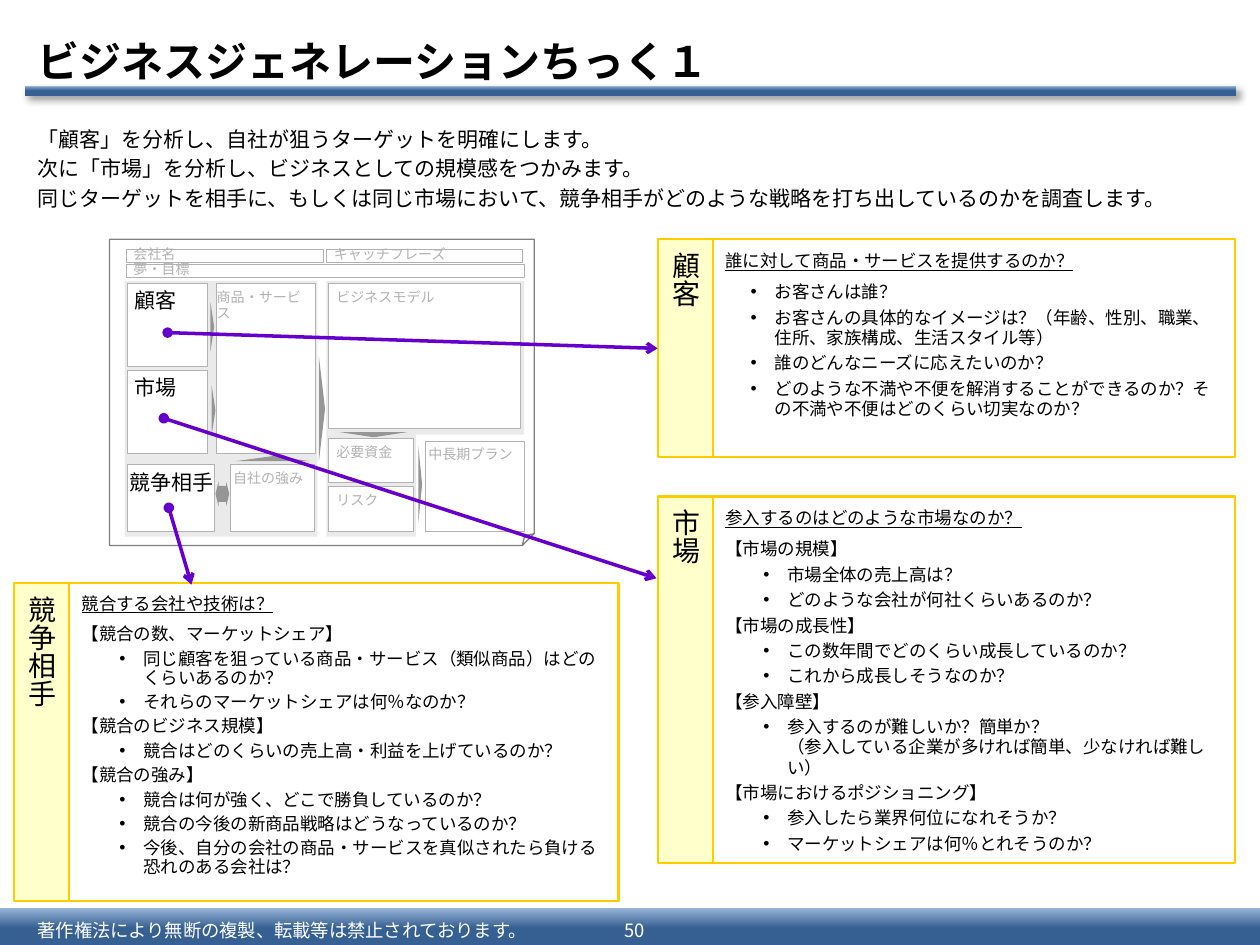
from dataclasses import dataclass

from lxml.etree import SubElement
from pptx import Presentation
from pptx.dml.color import RGBColor
from pptx.enum.shapes import MSO_CONNECTOR as Connector, MSO_SHAPE as Shape
from pptx.enum.text import MSO_ANCHOR as Anchor, MSO_AUTO_SIZE as AutoSize, PP_ALIGN as Align
from pptx.oxml.ns import qn
from pptx.util import Inches, Pt

COLORS = {
    "ink": "000000", "paper": "FFFFFF", "navy": "376092", "sky": "95B3D7",
    "gold": "FFCC00", "cream": "FFFFCC", "mist": "EAEAEA", "pale": "B2B2B2",
    "marker": "969696", "frame": "808080", "violet": "6600CC",
}
JAPANESE, SKETCH_FONT = "Noto Sans CJK JP", "Calibri"
COLUMNS, ROWS = 100, 75
SLIDE_WIDTH, SLIDE_HEIGHT = Inches(10), Inches(7.5)
COLUMN, ROW = SLIDE_WIDTH / COLUMNS, SLIDE_HEIGHT / ROWS


@dataclass
class Box:
    """A rectangle measured in grid columns and rows."""
    x: float
    y: float
    w: float
    h: float

    def inner(self, x, y, w, h):
        """Return a box placed relative to this one."""
        return Box(self.x + x, self.y + y, w, h)

    def emu(self):
        """Return left, top, width and height as lengths."""
        return (round(self.x * COLUMN), round(self.y * ROW),
                round(self.w * COLUMN), round(self.h * ROW))


def rgb(name):
    """Return a named colour."""
    return RGBColor.from_string(COLORS[name])


def add_text(frame, text, size=10, font=JAPANESE, color="ink", bold=False, underline=False,
             align=Align.LEFT, leading=None, before=0, after=0, bullet=None, indent=0, hanging=0):
    """Add one formatted paragraph to a text frame."""
    first = not frame.text
    paragraph = frame.paragraphs[0] if first else frame.add_paragraph()
    paragraph.text = text
    properties = paragraph._p.get_or_add_pPr()
    properties.set("marL", str(Inches(indent)))
    properties.set("indent", str(-Inches(hanging)))
    if bullet:
        paragraph.level = 1
        SubElement(properties, qn("a:buFont"), typeface="Arial")
        SubElement(properties, qn("a:buChar"), char=bullet)
    else:
        SubElement(properties, qn("a:buNone"))
    paragraph.alignment = align
    paragraph.space_before = Pt(0 if first else before)
    paragraph.space_after = Pt(after)
    if leading:
        paragraph.line_spacing = leading
    for run in paragraph.runs:
        run.font.size, run.font.name = Pt(size), font
        run.font.bold, run.font.underline = bold, underline
        run.font.color.rgb = rgb(color)
        SubElement(run._r.get_or_add_rPr(), qn("a:ea"), typeface=font)


def set_frame(frame, anchor=Anchor.TOP, insets=(0.1, 0.05, 0.1, 0.05), wrap=True):
    """Set the anchor, insets and wrapping of a text frame."""
    frame.auto_size, frame.word_wrap = AutoSize.NONE, wrap
    frame.vertical_anchor = anchor
    frame.margin_left, frame.margin_top, frame.margin_right, frame.margin_bottom = map(Inches, insets)
    return frame


def add_block(slide, box, fill=None, line=None, weight=0.5, kind=Shape.RECTANGLE, turn=0):
    """Add a flat preset shape."""
    block = slide.shapes.add_shape(kind, *box.emu())
    block.shadow.inherit = False
    block.rotation = turn
    if fill:
        block.fill.solid()
        block.fill.fore_color.rgb = rgb(fill)
    else:
        block.fill.background()
    if line:
        block.line.color.rgb, block.line.width = rgb(line), Pt(weight)
    else:
        block.line.fill.background()
    return block


def add_band(slide, box):
    """Add a bar that fades from navy up to sky."""
    band = add_block(slide, box)
    band.fill.gradient()
    band.fill.gradient_angle = 90
    for stop, position, color in zip(band.fill.gradient_stops, (0.5, 1), ("navy", "sky")):
        stop.position, stop.color.rgb = position, rgb(color)
    return band


def add_heading(slide, box, title):
    """Place the slide title above its shaded rule."""
    rule = add_band(slide, box.inner(0, 4.7, 96.1, 0.8))
    effects = rule._element.spPr.find(qn("a:effectLst"))
    shadow = SubElement(effects, qn("a:outerShdw"), blurRad=str(Pt(4)), dist=str(Pt(3)),
                        dir="2700000", algn="tl", rotWithShape="0")
    tint = SubElement(shadow, qn("a:srgbClr"), val=COLORS["ink"])
    SubElement(tint, qn("a:alpha"), val="40000")
    heading = slide.shapes.title
    heading.left, heading.top, heading.width, heading.height = box.emu()
    add_text(set_frame(heading.text_frame, Anchor.MIDDLE), title, size=24, bold=True)


def add_lead(slide, box, sentences):
    """Place the opening sentences in the body placeholder."""
    lead = slide.placeholders[1]
    lead.left, lead.top, lead.width, lead.height = box.emu()
    frame = set_frame(lead.text_frame)
    for sentence in sentences:
        add_text(frame, sentence, size=12, leading=Pt(14.5), before=2.4)


def add_footer(slide, box, notice, number):
    """Place the bottom band with the notice and page number."""
    add_band(slide, box)
    for text, x, width, align in ((notice, 2, 42.5, Align.LEFT), (number, 47.6, 5.5, Align.CENTER)):
        note = slide.shapes.add_textbox(*box.inner(x, 0.4, width, 2.6).emu())
        frame = set_frame(note.text_frame, Anchor.MIDDLE, (0.1, 0.04, 0.1, 0.04))
        add_text(frame, text, size=10.5, color="paper", align=align)


def add_sketch(slide, box):
    """Draw the miniature business plan sheet."""
    for area in ((17.2, 11.4, 7.1, 12.2), (17.2, 3.3, 15.7, 12.2), (1.2, 3.3, 15.3, 20.3)):
        add_block(slide, box.inner(*area), "mist")
    for *area, turn in ((6.2, 6.8, 3.9, 0.3, 90), (6.3, 13.4, 3.9, 0.3, 90), (10, 17.2, 5.9, 0.4, 0),
                        (12.6, 13.2, 8.5, 0.5, 90), (18.3, 15.3, 5.3, 0.4, 180),
                        (21.6, 19.3, 6.1, 0.3, 90)):
        add_block(slide, box.inner(*area), "marker", kind=Shape.ISOSCELES_TRIANGLE, turn=turn)
    rivalry = add_block(slide, box.inner(8.4, 19.2, 1.1, 2), "marker", kind=Shape.LEFT_RIGHT_ARROW)
    rivalry.adjustments[0], rivalry.adjustments[1] = 0.64, 0.23

    faint, strong = {"size": 8, "color": "pale"}, {"size": 12, "color": "ink"}
    for text, area, inset, style in (
        ("会社名", (1.3, 0.8, 15.7, 1), 0.06, faint),
        ("キャッチフレーズ", (17.2, 0.8, 15.6, 1), 0.06, faint),
        ("夢・目標", (1.3, 2, 31.6, 1), 0.06, faint),
        ("ビジネスモデル", (17.4, 3.5, 15.2, 11.5), 0.06, faint),
        ("必要資金", (17.4, 15.8, 6.7, 3.5), 0.06, faint),
        ("中長期プラン", (25.1, 16, 7.8, 7.2), 0.02, faint),
        ("リスク", (17.4, 19.6, 6.7, 3.6), 0.06, faint),
        ("商品・サービス", (8.5, 3.5, 7.8, 13.5), 0, faint),
        ("自社の強み", (9.6, 17.9, 6.7, 5.3), 0.02, faint),
        ("顧客", (1.4, 3.5, 6.4, 6.6), 0.06, strong),
        ("市場", (1.4, 10.4, 6.4, 6.6), 0.06, strong),
        ("競争相手", (1.4, 17.9, 6.9, 5.3), 0.02, strong),
    ):
        cell = add_block(slide, box.inner(*area), "paper", "pale")
        strip = area[3] == 1
        frame = set_frame(cell.text_frame, Anchor.MIDDLE if strip else Anchor.TOP,
                          (inset, 0.03 if strip else 0.05, inset, 0.05), wrap=text != "競争相手")
        add_text(frame, text, font=SKETCH_FONT, leading=0.95, **style)
    sheet = add_block(slide, box, line="frame", weight=0.75, kind=Shape.FOLDED_CORNER)
    folds = next(sheet._element.spPr.iter(qn("a:avLst")))
    SubElement(folds, qn("a:gd"), name="adj", fmla="val 3900")


def add_panel(slide, box, name, question, entries, leading=11.5, indent=0.49):
    """Place a question panel and return its name tab."""
    tab_width = 4.4
    content = add_block(slide, box.inner(tab_width, 0, box.w - tab_width, box.h), "paper", "gold", 1.25)
    frame = set_frame(content.text_frame, insets=(0.1, 0.09, 0.1, 0.05))
    spacing = {"leading": Pt(leading), "after": 1.5}
    add_text(frame, question, underline=True, **spacing)
    for index, entry in enumerate(entries):
        item = {} if entry.startswith("【") else {"bullet": "•", "indent": indent, "hanging": 0.19}
        add_text(frame, entry, before=1.5 if index else 5, **spacing, **item)
    tab = add_block(slide, box.inner(0, 0, tab_width, box.h), "cream", "gold", 1.25)
    tab_frame = set_frame(tab.text_frame, Anchor.MIDDLE)
    tab_frame._txBody.bodyPr.set("vert", "eaVert")
    add_text(tab_frame, name, size=16)
    return tab


def add_pointer(slide, start, end, target=None):
    """Draw an arrow from a sketch cell to its panel."""
    points = [round(value * unit) for point in (start, end) for value, unit in zip(point, (COLUMN, ROW))]
    pointer = slide.shapes.add_connector(Connector.STRAIGHT, *points)
    if target:
        pointer.end_connect(target, 1)
    pointer.line.color.rgb, pointer.line.width = rgb("violet"), Pt(2)
    outline = pointer._element.spPr.find(qn("a:ln"))
    SubElement(outline, qn("a:headEnd"), type="oval")
    SubElement(outline, qn("a:tailEnd"), type="arrow")
    SubElement(pointer._element.spPr, qn("a:effectLst"))


def main():
    """Build and save the slide."""
    deck = Presentation()
    deck.slide_width, deck.slide_height = SLIDE_WIDTH, SLIDE_HEIGHT
    slide = deck.slides.add_slide(deck.slide_layouts[1])
    add_footer(slide, Box(0, 72.1, COLUMNS, 3.1), "著作権法により無断の複製、転載等は禁止されております。", "50")
    add_heading(slide, Box(2, 2.1, 98, 5.4), "ビジネスジェネレーションちっく１")
    add_lead(slide, Box(2, 9.5, 97.6, 8.3), (
        "「顧客」を分析し、自社が狙うターゲットを明確にします。",
        "次に「市場」を分析し、ビジネスとしての規模感をつかみます。",
        "同じターゲットを相手に、もしくは同じ市場において、競争相手がどのような戦略を打ち出しているのかを調査します。"))
    add_sketch(slide, Box(8.7, 19, 33.7, 24.3))
    customer = add_panel(slide, Box(52.2, 19, 45.8, 17.3), "顧客", "誰に対して商品・サービスを提供するのか？", (
        "お客さんは誰？", "お客さんの具体的なイメージは？（年齢、性別、職業、住所、家族構成、生活スタイル等）",
        "誰のどんなニーズに応えたいのか？",
        "どのような不満や不便を解消することができるのか？その不満や不便はどのくらい切実なのか？"), indent=0.39)
    add_panel(slide, Box(52.2, 39.4, 45.8, 29.1), "市場", "参入するのはどのような市場なのか？", (
        "【市場の規模】", "市場全体の売上高は？", "どのような会社が何社くらいあるのか？",
        "【市場の成長性】", "この数年間でどのくらい成長しているのか？", "これから成長しそうなのか？",
        "【参入障壁】", "参入するのが難しいか？簡単か？\v（参入している企業が多ければ簡単、少なければ難しい）",
        "【市場におけるポジショニング】", "参入したら業界何位になれそうか？", "マーケットシェアは何％とれそうのか？"))
    add_panel(slide, Box(1.1, 46.3, 48, 25.2), "競争相手", "競合する会社や技術は？", (
        "【競合の数、マーケットシェア】", "同じ顧客を狙っている商品・サービス（類似商品）はどのくらいあるのか？",
        "それらのマーケットシェアは何％なのか？",
        "【競合のビジネス規模】", "競合はどのくらいの売上高・利益を上げているのか？",
        "【競合の強み】", "競合は何が強く、どこで勝負しているのか？", "競合の今後の新商品戦略はどうなっているのか？",
        "今後、自分の会社の商品・サービスを真似されたら負ける恐れのある会社は？"), leading=10.9)
    add_pointer(slide, (13.3, 26.4), (52.2, 27.6), customer)
    add_pointer(slide, (13, 33.2), (52.1, 45.9))
    add_pointer(slide, (13.4, 40.3), (15.2, 46.4))
    deck.save("out.pptx")


if __name__ == "__main__":
    main()
